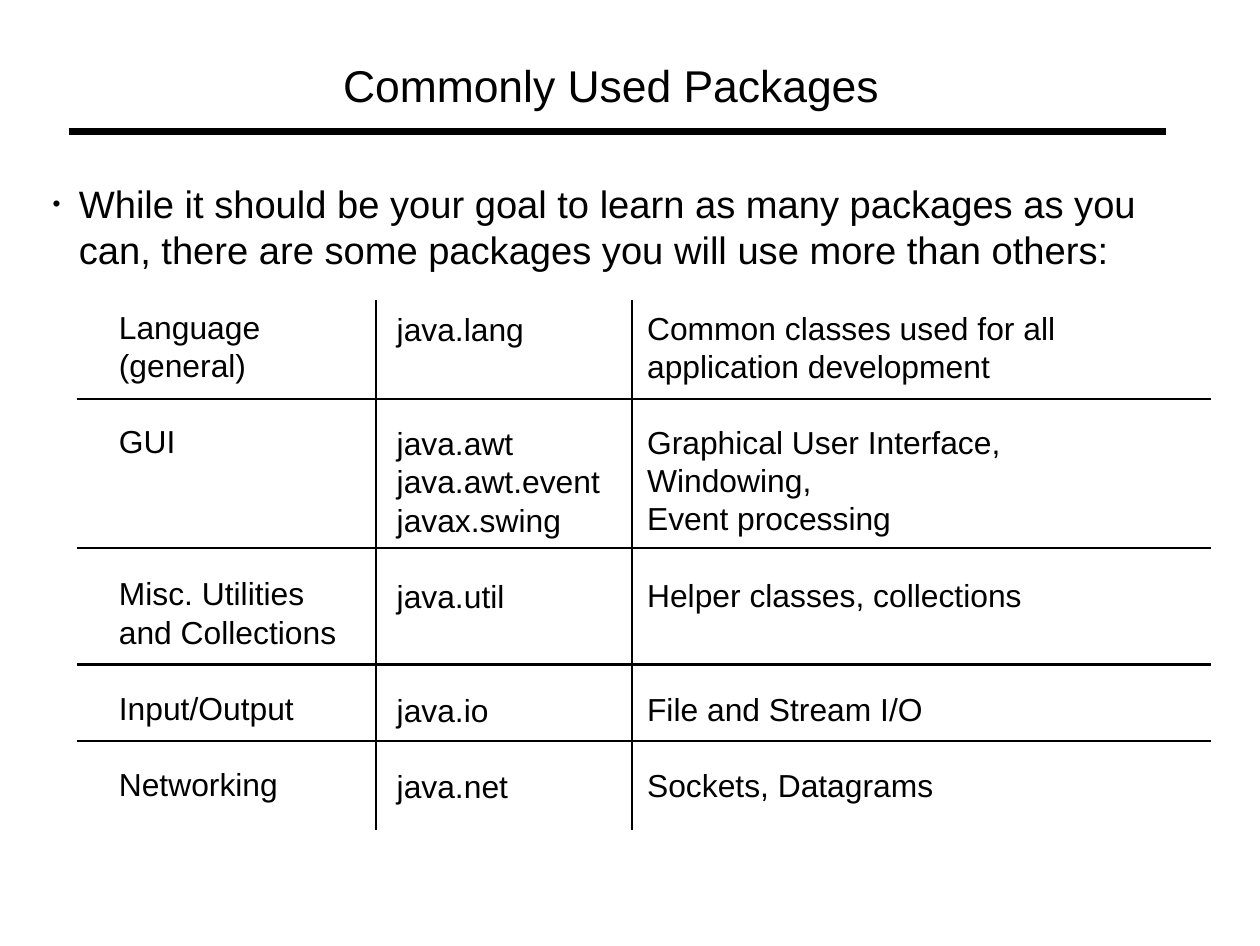
from lxml import etree
from pptx import Presentation
from pptx.dml.color import RGBColor
from pptx.enum.shapes import MSO_CONNECTOR
from pptx.enum.text import MSO_ANCHOR, PP_ALIGN
from pptx.oxml.ns import qn
from pptx.util import Inches, Pt

LEFT = PP_ALIGN.LEFT
TOP = MSO_ANCHOR.TOP
STRAIGHT = MSO_CONNECTOR.STRAIGHT

# Content
TITLE = "Commonly Used Packages"
INTRO = ("While it should be your goal to learn as many packages as you can, "
         "there are some packages you will use more than others:")
PACKAGES = [
    ("Language\n(general)", "java.lang",
     "Common classes used for all\napplication development"),
    ("GUI", "java.awt\njava.awt.event\njavax.swing",
     "Graphical User Interface,\nWindowing,\nEvent processing"),
    ("Misc. Utilities\nand Collections", "java.util", "Helper classes, collections"),
    ("Input/Output", "java.io", "File and Stream I/O"),
    ("Networking", "java.net", "Sockets, Datagrams"),
]

# Layout in inches
FONT = "Arial"
BLACK = "000000"
LINE_SPACING = 1.2
COLUMN_EDGES = [0.67, 3.29, 5.53, 10.59]
ROW_EDGES = [2.62, 3.49, 4.79, 5.81, 6.48, 7.26]
TEXT_LEFTS = [1.04, 3.47, 5.66]
TEXT_TOPS = [2.69, 2.71, 2.7]
FIRST_LINES = [0, 3, 7, 10, 12]
TABLE_SIZE = 20
TABLE_PITCH = TABLE_SIZE * LINE_SPACING / 72
PLAIN_TABLE_STYLE = "{2D5ABB26-0587-4C30-8999-92F81FD0307C}"


def color(value):
    return RGBColor.from_string(value)


def write_text(frame, text, *, size, fill=BLACK):
    frame.word_wrap = True
    frame.text = text
    for paragraph in frame.paragraphs:
        paragraph.alignment = LEFT
        paragraph.line_spacing = Pt(size * LINE_SPACING)
        paragraph.space_before = Pt(0)
        paragraph.font.name = FONT
        paragraph.font.size = Pt(size)
        paragraph.font.color.rgb = color(fill)


def clear_margins(frame):
    frame.margin_left = frame.margin_right = 0
    frame.margin_top = frame.margin_bottom = 0
    frame.vertical_anchor = TOP


def add_bullet(paragraph, indent, percent):
    properties = paragraph._p.get_or_add_pPr()
    properties.set("marL", str(Inches(indent)))
    properties.set("indent", str(-Inches(indent)))
    bullet_color = etree.SubElement(properties, qn("a:buClr"))
    etree.SubElement(bullet_color, qn("a:srgbClr"), val=BLACK)
    etree.SubElement(properties, qn("a:buSzPct"), val=str(percent * 1000))
    etree.SubElement(properties, qn("a:buFont"), typeface=FONT)
    etree.SubElement(properties, qn("a:buChar"), char="•")


def add_rule(slide, start, end, width=1.45):
    rule = slide.shapes.add_connector(
        STRAIGHT, *(Inches(value) for value in (*start, *end)))
    rule.line.color.rgb = color(BLACK)
    rule.line.width = Pt(width)
    etree.SubElement(rule._element.spPr, qn("a:effectLst"))


presentation = Presentation()
presentation.slide_width = Inches(11.02)
presentation.slide_height = Inches(8.27)
slide = presentation.slides.add_slide(presentation.slide_layouts[5])

# Title and the rule below it
title = slide.shapes.title
title.left, title.top = Inches(3), Inches(0.51)
title.width, title.height = Inches(4.81), Inches(0.47)
clear_margins(title.text_frame)
write_text(title.text_frame, TITLE, size=28)
add_rule(slide, (0.6, 1.15), (10.2, 1.15), width=4.31)

# Introduction
intro = slide.shapes.add_textbox(
    Inches(0.46), Inches(1.58), Inches(10.05), Inches(0.8))
clear_margins(intro.text_frame)
write_text(intro.text_frame, INTRO, size=24)
add_bullet(intro.text_frame.paragraphs[0], indent=0.23, percent=59)

# Package table without a style of its own
left, right = COLUMN_EDGES[0], COLUMN_EDGES[-1]
top, bottom = ROW_EDGES[0], ROW_EDGES[-1]
table = slide.shapes.add_table(
    len(PACKAGES), len(TEXT_LEFTS), Inches(left), Inches(top),
    Inches(right - left), Inches(bottom - top)).table
table.first_row = table.horz_banding = False
table._tbl.tblPr.find(qn("a:tableStyleId")).text = PLAIN_TABLE_STYLE
for column, start, end in zip(table.columns, COLUMN_EDGES, COLUMN_EDGES[1:]):
    column.width = Inches(end - start)
for row, start, end in zip(table.rows, ROW_EDGES, ROW_EDGES[1:]):
    row.height = Inches(end - start)

for r, entries in enumerate(PACKAGES):
    for c, text in enumerate(entries):
        cell = table.cell(r, c)
        write_text(cell.text_frame, text, size=TABLE_SIZE)
        text_top = TEXT_TOPS[c] + FIRST_LINES[r] * TABLE_PITCH
        cell.margin_left = Inches(TEXT_LEFTS[c] - COLUMN_EDGES[c])
        cell.margin_top = Inches(text_top - ROW_EDGES[r])
        cell.margin_right = cell.margin_bottom = 0
        cell.vertical_anchor = TOP
        cell.fill.background()

# Rules between the rows and columns
for y in ROW_EDGES[1:-1]:
    add_rule(slide, (left, y), (right, y))
for x in COLUMN_EDGES[1:-1]:
    add_rule(slide, (x, top), (x, bottom))

presentation.save("out.pptx")
